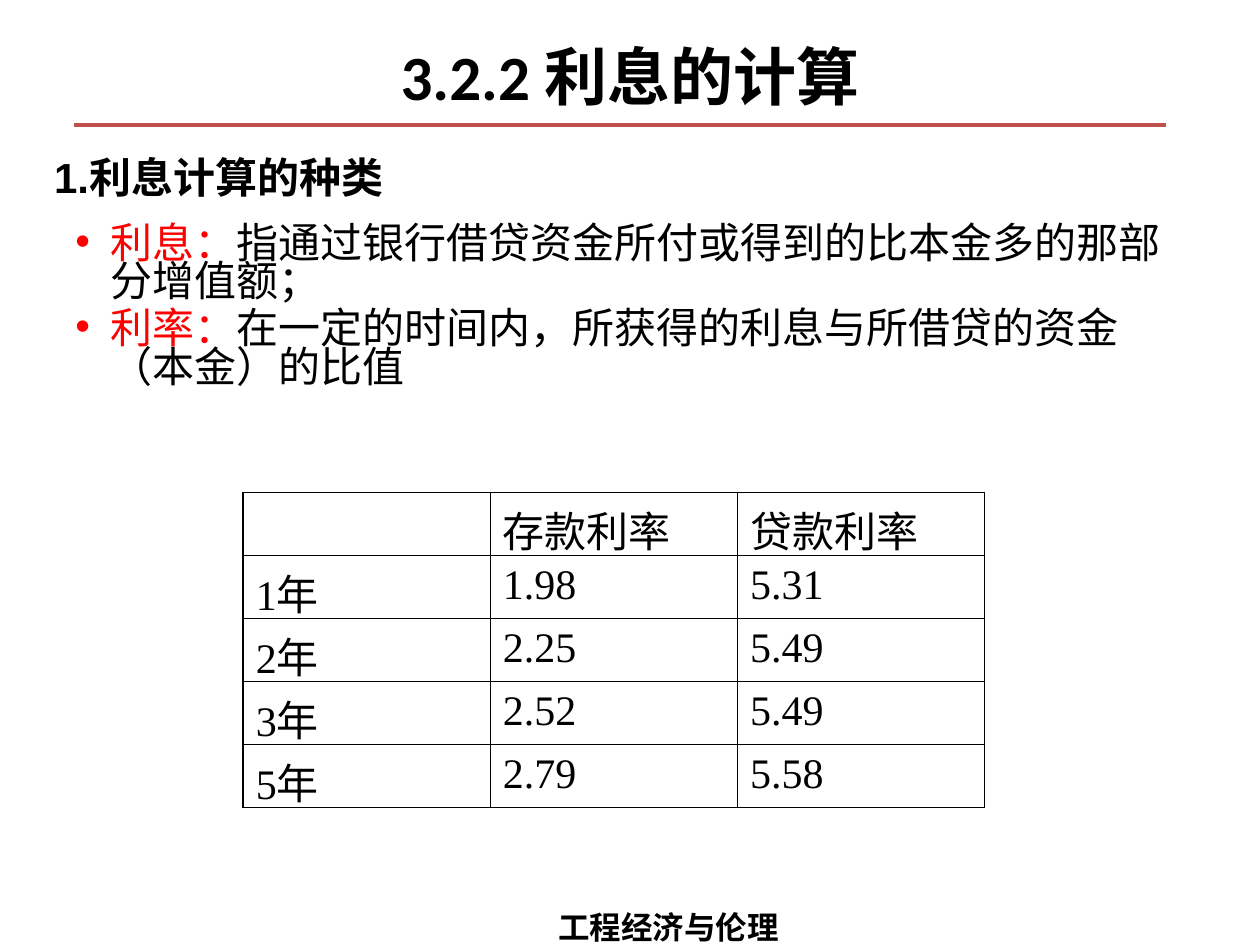
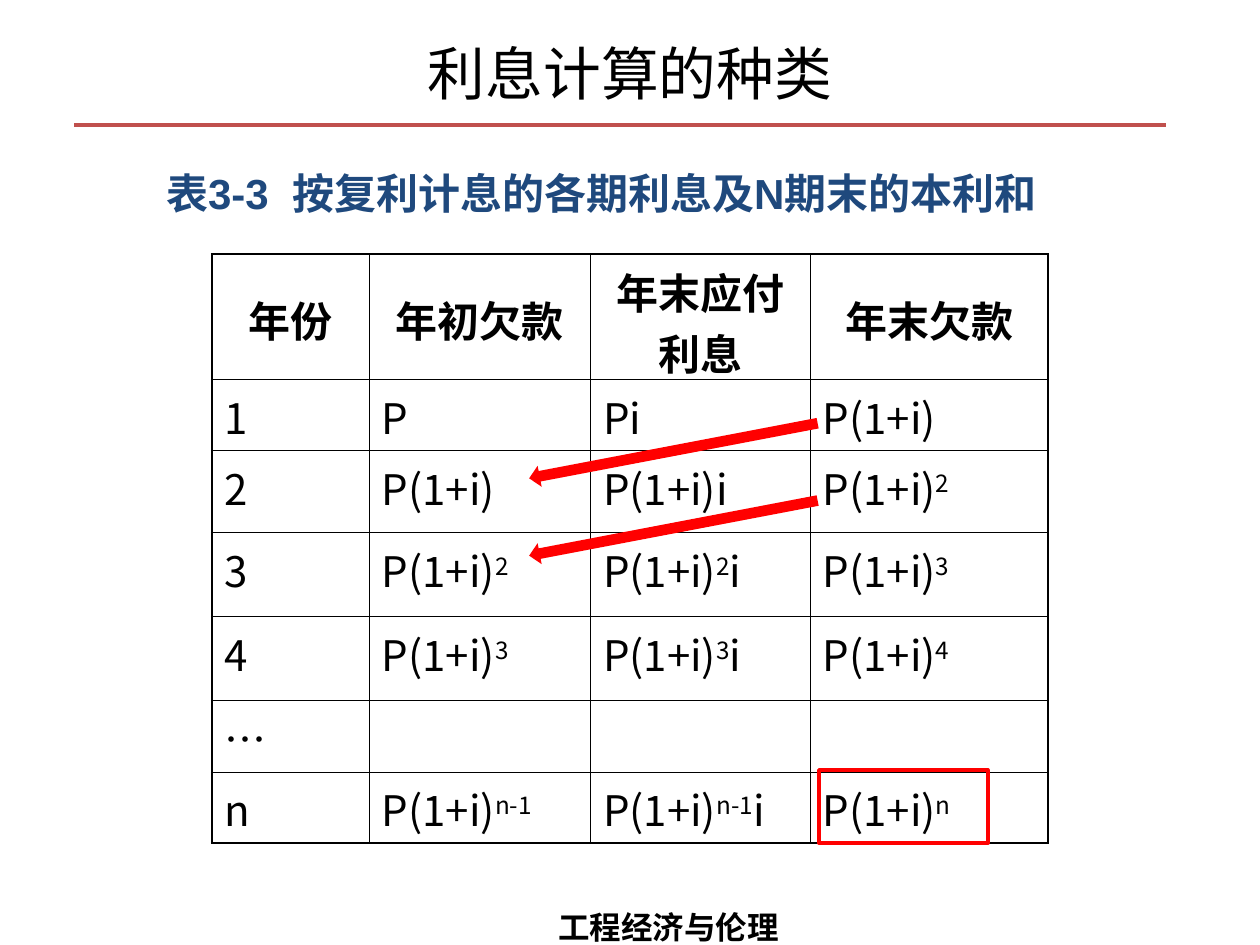
import pptx
import pptx.dml.color
import pptx.enum.shapes
import pptx.enum.text
import pptx.oxml
import pptx.oxml.ns
import pptx.util

Pt = pptx.util.Pt
Align = pptx.enum.text.PP_ALIGN
Anchor = pptx.enum.text.MSO_ANCHOR
Shapes = pptx.enum.shapes.MSO_SHAPE

BLACK, RED, BLUE, RULE_RED = "000000", "FF0000", "1F497D", "C0504D"
SANS, SERIF = "Noto Sans CJK SC", "Times New Roman"
TITLE_ONLY = 5
OUTER_BORDER, INNER_BORDER = 1.08, 0.45


def color(hex_text):
    return pptx.dml.color.RGBColor.from_string(hex_text)


def parse(tag, attributes="", content=""):
    """Make one DrawingML element."""
    namespace = pptx.oxml.ns.nsdecls("a")
    return pptx.oxml.parse_xml(f"<a:{tag} {namespace} {attributes}>{content}</a:{tag}>")


def add_text(paragraph, text, font=SANS, size=24, fill=BLACK, bold=False):
    """Add runs to a paragraph; text between ^ marks is superscript."""
    for index, part in enumerate(text.split("^")):
        if not part:
            continue
        run = paragraph.add_run()
        run.text = part
        run.font.name = font
        run.font.size = Pt(size)
        run.font.bold = bold
        run.font.color.rgb = color(fill)
        properties = run._r.get_or_add_rPr()
        properties.find(pptx.oxml.ns.qn("a:latin")).addnext(
            parse("ea", f'typeface="{SANS}"'))
        if index % 2:
            properties.set("baseline", "30000")


def add_box(slide, left, top, width, height, wrap=True):
    """Add an empty text box and return its text frame."""
    frame = slide.shapes.add_textbox(Pt(left), Pt(top), Pt(width), Pt(height)).text_frame
    frame.word_wrap = wrap
    return frame


def add_title(slide, text, **text_format):
    title = slide.shapes.title
    title.left, title.top, title.width, title.height = Pt(36), Pt(21.6), Pt(648), Pt(90)
    frame = title.text_frame
    frame.vertical_anchor = Anchor.TOP
    frame.margin_top = 0
    paragraph = frame.paragraphs[0]
    paragraph.alignment = Align.CENTER
    add_text(paragraph, text, font="Calibri", **text_format)


def add_rule(slide):
    rule = slide.shapes.add_connector(
        pptx.enum.shapes.MSO_CONNECTOR.STRAIGHT, Pt(42.5), Pt(71.3), Pt(666), Pt(71.3))
    rule.line.color.rgb = color(RULE_RED)
    rule.line.width = Pt(2)
    rule._element.spPr.append(parse("effectLst"))


def add_footer(slide):
    paragraph = add_box(slide, 311.8, 504.7, 140.4, 39.6, wrap=False).paragraphs[0]
    paragraph.line_spacing = 1.5
    add_text(paragraph, "工程经济与伦理", font=SERIF, size=18, bold=True)


def add_slide(presentation, title, **title_format):
    slide = presentation.slides.add_slide(presentation.slide_layouts[TITLE_ONLY])
    add_rule(slide)
    add_footer(slide)
    add_title(slide, title, **title_format)
    return slide


def add_definitions(slide, definitions):
    """Add bulleted terms in red, each followed by its meaning."""
    frame = add_box(slide, 36, 126.7, 648, 356.4)
    for index, (term, meaning) in enumerate(definitions):
        paragraph = frame.add_paragraph() if index else frame.paragraphs[0]
        properties = paragraph._p.get_or_add_pPr()
        properties.set("marL", str(Pt(20)))
        properties.set("indent", str(-Pt(20)))
        properties.append(parse("buClr", content=f'<a:srgbClr val="{RED}"/>'))
        properties.append(parse("buFont", 'typeface="Arial"'))
        properties.append(parse("buChar", 'char="•"'))
        paragraph.line_spacing = 0.76
        if index:
            paragraph.space_before = Pt(5)
        add_text(paragraph, term, fill=RED)
        add_text(paragraph, meaning)


def set_borders(cell, widths):
    """Draw the left, right, top and bottom edges in the given widths."""
    properties = cell._tc.get_or_add_tcPr()
    fill = f'<a:solidFill><a:srgbClr val="{BLACK}"/></a:solidFill>'
    for index, (side, width) in enumerate(zip("LRTB", widths)):
        properties.insert(index, parse(f"ln{side}", f'w="{int(Pt(width))}"', fill))


def add_table(slide, rows, left, top, column_widths, row_heights, font, header=False):
    frame = slide.shapes.add_table(
        len(rows), len(column_widths), Pt(left), Pt(top),
        Pt(sum(column_widths)), Pt(sum(row_heights)))
    table = frame.table
    table.first_row = table.horz_banding = False
    for column, width in zip(table.columns, column_widths):
        column.width = Pt(width)
    for row, height in zip(table.rows, row_heights):
        row.height = Pt(height)
    last_row, last_column = len(rows) - 1, len(column_widths) - 1
    for r, texts in enumerate(rows):
        for c, text in enumerate(texts):
            cell = table.cell(r, c)
            cell.fill.background()
            cell.margin_bottom = 0
            on_edge = (c == 0, c == last_column, r == 0, r == last_row)
            set_borders(cell, [OUTER_BORDER if edge else INNER_BORDER for edge in on_edge])
            is_header = header and r == 0
            paragraph = cell.text_frame.paragraphs[0]
            if is_header:
                cell.vertical_anchor = Anchor.MIDDLE
                paragraph.alignment = Align.CENTER
            add_text(paragraph, text, font=font, bold=is_header)


def add_arrow(slide, top):
    """Add a red arrow that leads down to the left."""
    arrow = slide.shapes.add_shape(
        Shapes.DOWN_ARROW, Pt(378.7), Pt(top), Pt(12.2), Pt(167.8))
    arrow.rotation = 79.2
    arrow.shadow.inherit = False
    arrow.fill.solid()
    arrow.fill.fore_color.rgb = color(RED)
    arrow.line.fill.background()


def add_highlight(slide, left, top, width, height):
    frame = slide.shapes.add_shape(
        Shapes.RECTANGLE, Pt(left), Pt(top), Pt(width), Pt(height))
    frame.shadow.inherit = False
    frame.fill.background()
    frame.line.color.rgb = color(RED)
    frame.line.width = Pt(2)


def build_rates_slide(presentation):
    slide = add_slide(presentation, "3.2.2 利息的计算", size=36, bold=True)
    add_definitions(slide, [
        ("利息：", "指通过银行借贷资金所付或得到的比本金多的那部分增值额；"),
        ("利率：", "在一定的时间内，所获得的利息与所借贷的资金（本金）的比值"),
    ])
    heading = add_box(slide, 23.8, 82.8, 208, 36, wrap=False)
    add_text(heading.paragraphs[0], "1.利息计算的种类", font="Arial", bold=True)
    rates = [
        ("", "存款利率", "贷款利率"),
        ("1年", "1.98", "5.31"),
        ("2年", "2.25", "5.49"),
        ("3年", "2.52", "5.49"),
        ("5年", "2.79", "5.58"),
    ]
    add_table(slide, rates, 139, 281.5, [141.2] * 3, [36] * len(rates), SERIF)


def build_compound_slide(presentation):
    slide = add_slide(presentation, "利息计算的种类", size=33)
    caption = add_box(slide, 87.8, 92.2, 586.8, 36)
    add_text(caption.paragraphs[0], "表3-3  按复利计息的各期利息及N期末的本利和",
             font="Arial", fill=BLUE, bold=True)
    debts = [
        ("年份", "年初欠款", "年末应付利息", "年末欠款"),
        ("1", "P", "Pi", "P(1+i)"),
        ("2", "P(1+i)", "P(1+i)i", "P(1+i)^2^"),
        ("3", "P(1+i)^2^", "P(1+i)^2^i", "P(1+i)^3^"),
        ("4", "P(1+i)^3^", "P(1+i)^3^i", "P(1+i)^4^"),
        ("…", "", "", ""),
        ("n", "P(1+i)^n-1^", "P(1+i)^n-1^i", "P(1+i)^n^"),
    ]
    add_table(slide, debts, 121, 145.2, [90, 126.4, 125.6, 136],
              [71.4, 40.7, 47.2, 48, 48, 40.7, 40.7], SANS, header=True)
    add_highlight(slide, 468, 440, 96.5, 41.8)
    for top in (173.7, 217.9):
        add_arrow(slide, top)


def main():
    presentation = pptx.Presentation()
    presentation.slide_width, presentation.slide_height = Pt(720), Pt(540)
    build_rates_slide(presentation)
    build_compound_slide(presentation)
    presentation.save("out.pptx")


if __name__ == "__main__":
    main()
